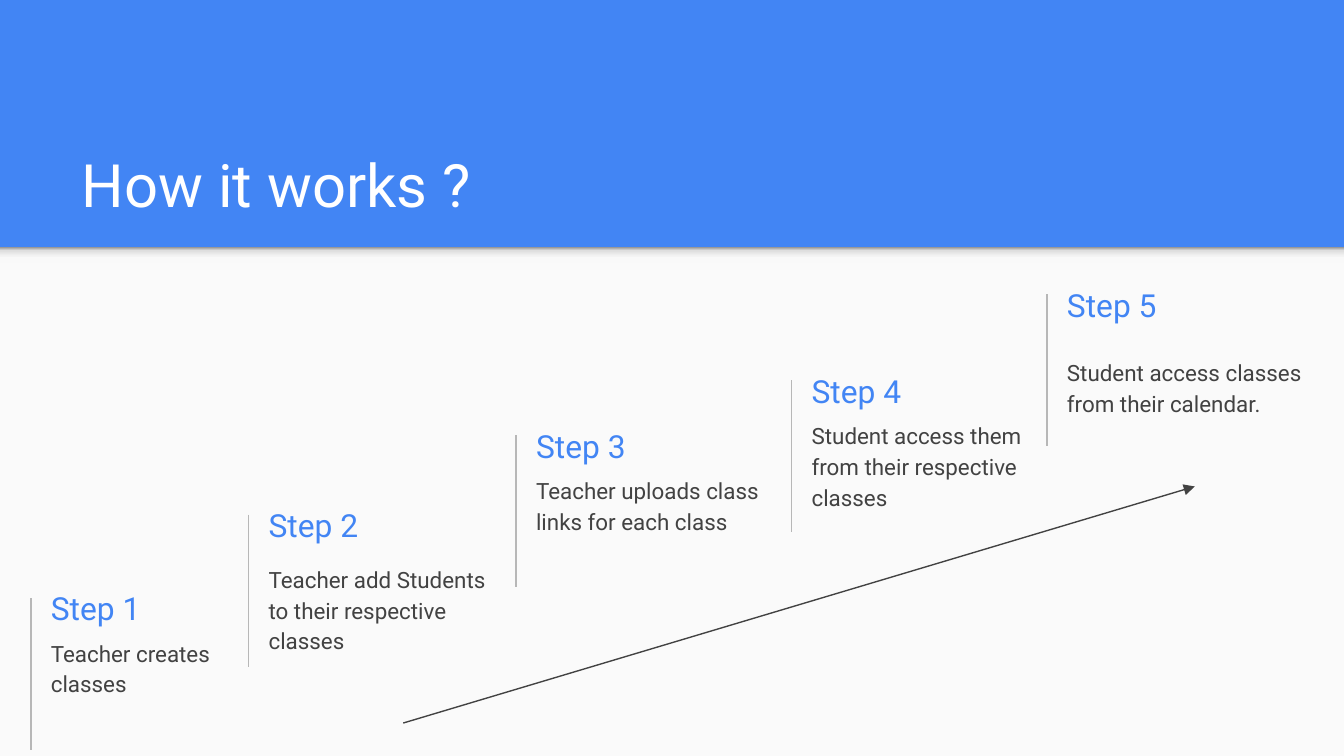
from dataclasses import dataclass

from lxml import etree
from pptx import Presentation
from pptx.dml.color import RGBColor
from pptx.enum.shapes import MSO_CONNECTOR, MSO_SHAPE
from pptx.enum.text import MSO_ANCHOR, MSO_AUTO_SIZE, PP_ALIGN
from pptx.oxml.ns import qn
from pptx.util import Inches, Pt

STRAIGHT = MSO_CONNECTOR.STRAIGHT
RECTANGLE = MSO_SHAPE.RECTANGLE
TOP, MIDDLE, BOTTOM = MSO_ANCHOR.TOP, MSO_ANCHOR.MIDDLE, MSO_ANCHOR.BOTTOM
LEFT = PP_ALIGN.LEFT
NO_FIT = MSO_AUTO_SIZE.NONE

WIDTH = 10
HEIGHT = WIDTH * 9 / 16
BAND_HEIGHT = 1.84
TITLE_ONLY = 5


@dataclass(frozen=True)
class Theme:
    font: str = "Roboto"
    accent: str = "4285F4"
    paper: str = "FAFAFA"
    white: str = "FFFFFF"
    ink: str = "424242"
    rule: str = "B7B7B7"
    shade: tuple = ((0, "F9F9F9"), (36, "F9F9F9"), (80, "DEDEDE"), (100, "999999"))
    title_size: int = 32
    step_size: int = 17
    body_size: int = 12
    line_width: float = 0.75


THEME = Theme()

# Rule left, rule top, gap from heading to description, description
STEPS = [
    (0.23, 4.45, 0.32, "Teacher creates classes"),
    (1.85, 3.83, 0.39, "Teacher add Students to their respective classes"),
    (3.84, 3.24, 0.32, "Teacher uploads class links for each class"),
    (5.89, 2.83, 0.32, "Student access them from their respective classes"),
    (7.79, 2.19, 0.49, "Student access classes from their calendar."),
]


def color(code):
    return RGBColor.from_string(code)


def write(box, text, size, ink, anchor):
    frame = box.text_frame
    frame.text = text
    frame.word_wrap = True
    frame.auto_size = NO_FIT
    frame.vertical_anchor = anchor
    frame.margin_left = frame.margin_right = Inches(0.1)
    frame.margin_top = frame.margin_bottom = Inches(0.1)
    para = frame.paragraphs[0]
    para.alignment = LEFT
    for span in para.runs:
        span.font.name = THEME.font
        span.font.size = Pt(size)
        span.font.color.rgb = color(ink)
    return para


def add_panel(page, top, height):
    """Add a full-width rectangle without outline or shadow."""
    panel = page.shapes.add_shape(
        RECTANGLE, 0, Inches(top), Inches(WIDTH), Inches(height))
    panel.shadow.inherit = False
    panel.line.fill.background()
    panel.fill.solid()
    panel.fill.fore_color.rgb = color(THEME.paper)
    return panel


def shade_upward(panel):
    """Fill the panel with the theme's shade, darkest at the top."""
    panel.fill.gradient()
    panel.fill.gradient_angle = 90
    stops = panel.element.spPr.find(".//" + qn("a:gsLst"))
    for stop in list(stops):
        stops.remove(stop)
    for percent, code in THEME.shade:
        stop = etree.SubElement(stops, qn("a:gs"), pos=str(percent * 1000))
        etree.SubElement(stop, qn("a:srgbClr"), val=code)


def add_line(page, start, end, ink, arrow=False):
    points = [Inches(length) for length in (*start, *end)]
    line = page.shapes.add_connector(STRAIGHT, *points)
    line.line.color.rgb = color(ink)
    line.line.width = Pt(THEME.line_width)
    properties = line.element.spPr
    if arrow:
        etree.SubElement(properties.find(qn("a:ln")), qn("a:tailEnd"), type="triangle")
    etree.SubElement(properties, qn("a:effectLst"))


def add_title(page, text):
    title = page.shapes.title
    title.left, title.top = Inches(0.51), Inches(0.89)
    title.width, title.height = Inches(8.99), Inches(0.84)
    write(title, text, THEME.title_size, THEME.white, BOTTOM)


def add_text(page, left, top, height, text, size, ink, anchor):
    box = page.shapes.add_textbox(
        Inches(left), Inches(top), Inches(1.98), Inches(height))
    return write(box, text, size, ink, anchor)


def add_step(page, number, left, top, gap, text):
    add_line(page, (left, top), (left, top + 1.13), THEME.rule)
    text_left, text_top = left + 0.05, top - 0.14
    add_text(page, text_left, text_top, 0.43, f"Step {number}",
             THEME.step_size, THEME.accent, MIDDLE)
    para = add_text(page, text_left, text_top + gap, 0.63, text,
                    THEME.body_size, THEME.ink, TOP)
    para.line_spacing = 1.15
    para.space_after = Pt(16)


def main():
    deck = Presentation()
    deck.slide_width, deck.slide_height = Inches(WIDTH), Inches(HEIGHT)
    page = deck.slides.add_slide(deck.slide_layouts[TITLE_ONLY])
    page.background.fill.solid()
    page.background.fill.fore_color.rgb = color(THEME.accent)

    add_panel(page, BAND_HEIGHT, HEIGHT - BAND_HEIGHT)
    shade_upward(add_panel(page, BAND_HEIGHT, 0.12))
    add_title(page, "How it works ?")
    for number, step in enumerate(STEPS, start=1):
        add_step(page, number, *step)
    add_line(page, (3, 5.38), (8.89, 3.62), THEME.ink, arrow=True)
    deck.save("out.pptx")


if __name__ == "__main__":
    main()
